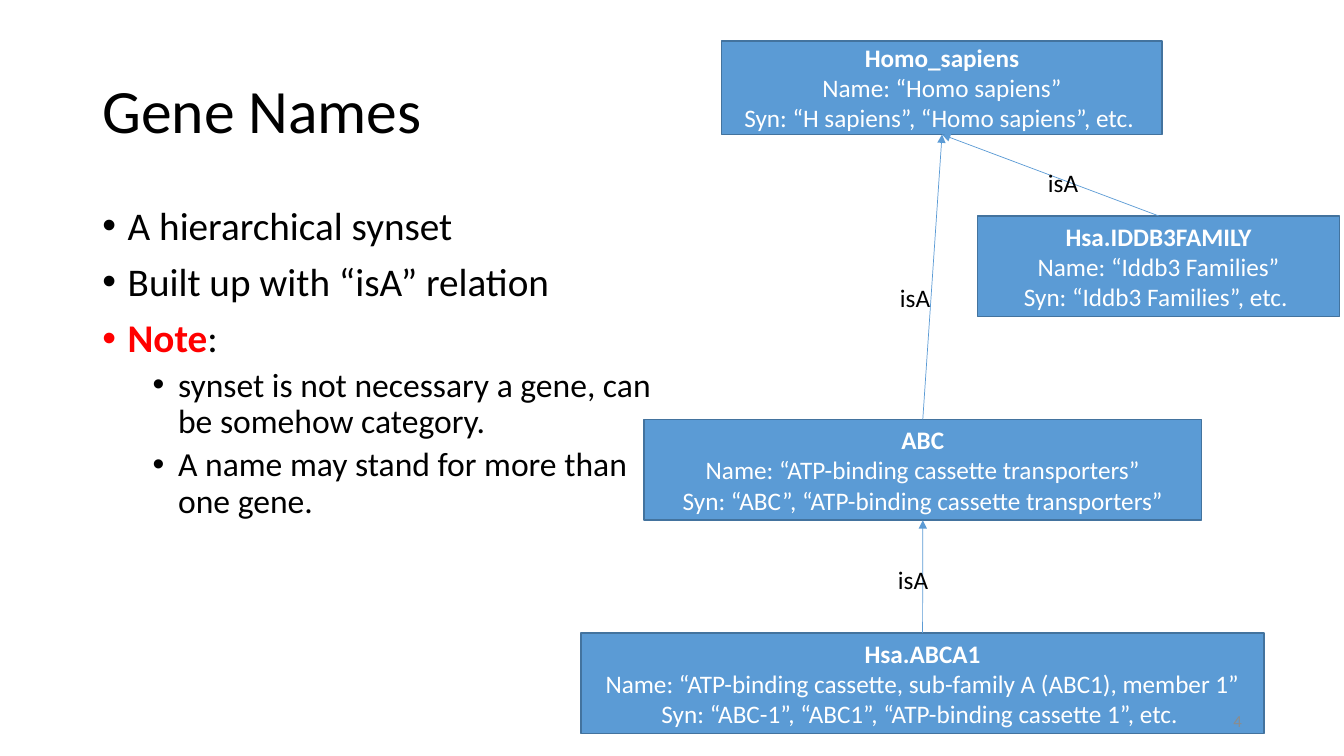
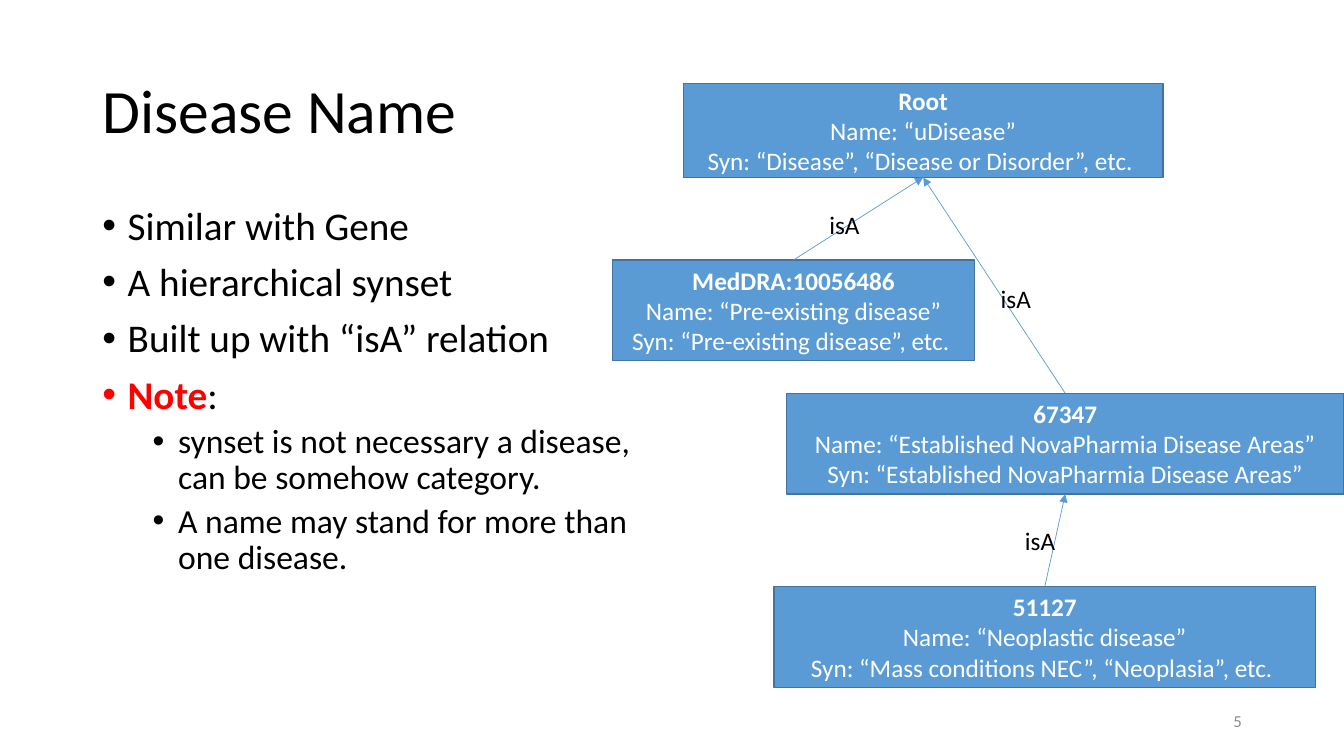
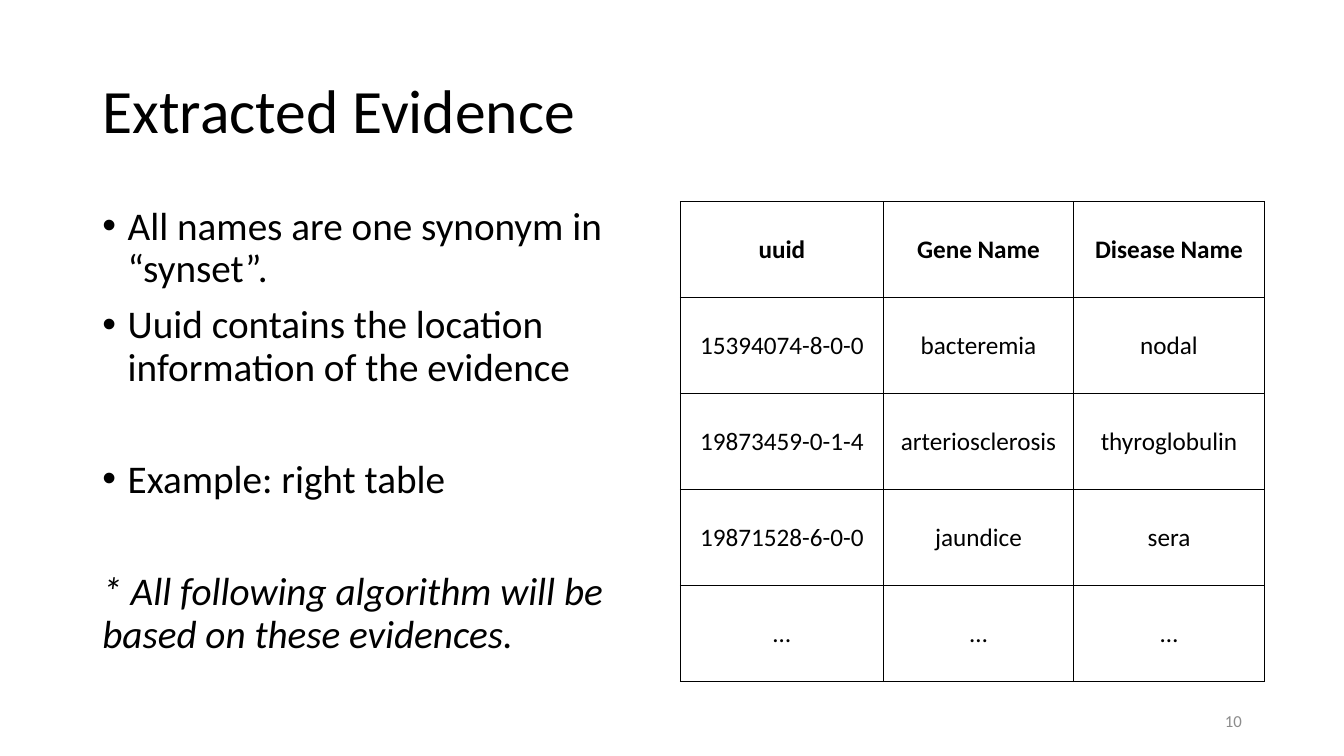
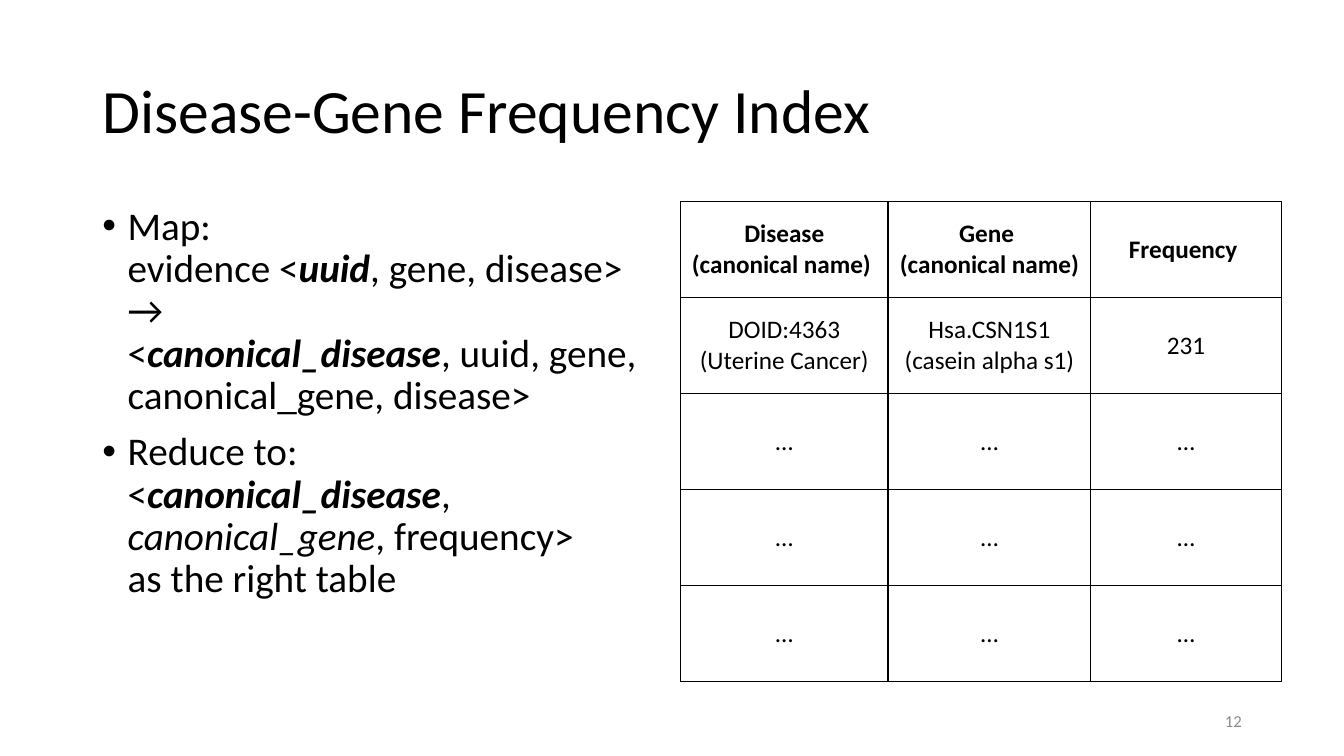
from lxml import etree
from pptx import Presentation
from pptx import util as u
from pptx.dml.color import RGBColor
from pptx.enum import shapes, text
from pptx.oxml.ns import qn

BLACK = RGBColor(0x00, 0x00, 0x00)
WHITE = RGBColor(0xFF, 0xFF, 0xFF)
RED = RGBColor(0xFF, 0x00, 0x00)
GREY = RGBColor(0x8C, 0x8C, 0x8C)
BLUE = RGBColor(0x5B, 0x9B, 0xD5)
DARK_BLUE = RGBColor(0x43, 0x73, 0x9E)
FONT = "Calibri"

TITLE_AREA = (2.33, 1.01, 29.21, 3.68)
BODY_AREA = (2.33, 5.07, 14.4, 12.09)
NUMBER_AREA = (23.93, 17.65, 7.62, 1.01)
TABLE_LEFT, TABLE_TOP, ROW_HEIGHT = 17.15, 5.08, 2.42
LABEL_SIZE = (1.27, 1.02)
BULLET_INDENT = 0.64
LEVEL_LEFT = (0.64, 1.91)
LEVEL_SIZE = (28, 24)
LEVEL_SPACE = (10, 5)
EXTRA_SPACE = 50
ELLIPSES = ["…"] * 3

PAGES = [
    {
        "title": "Gene Names",
        "number": "4",
        "body": [
            {"spans": [("A hierarchical synset", "")]},
            {"spans": [("Built up with “isA” relation", "")]},
            {"spans": [("Note", "br"), (":", "")]},
            {"level": 1, "spans": [("synset is not necessary a gene, can be somehow category.", "")]},
            {"level": 1, "spans": [("A name may stand for more than one gene.", "")]},
        ],
        "synsets": {
            "Hsa.IDDB3FAMILY": ((24.64, 5.44, 9.12, 2.54),
                                "Name: “Iddb3 Families”\nSyn: “Iddb3 Families”, etc. "),
            "Homo_sapiens": ((18.19, 1.03, 11.1, 2.36),
                             "Name: “Homo sapiens”\nSyn: “H sapiens”, “Homo sapiens”, etc. "),
            "ABC": ((16.23, 10.57, 14.05, 2.54),
                    "Name: “ATP-binding cassette transporters”\n"
                    "Syn: “ABC”, “ATP-binding cassette transporters”"),
            "Hsa.ABCA1": ((14.64, 15.95, 17.22, 2.54),
                          "Name: “ATP-binding cassette, sub-family A (ABC1), member 1”\n"
                          "Syn: “ABC-1”, “ABC1”, “ATP-binding cassette 1”, etc. "),
        },
        "relations": [
            ("ABC", "Homo_sapiens", (22.43, 6.99)),
            ("Hsa.ABCA1", "ABC", (22.38, 14.1)),
            ("Hsa.IDDB3FAMILY", "Homo_sapiens", (26.16, 4.09)),
        ],
    },
    {
        "title": "Disease Name",
        "number": "5",
        "body": [
            {"spans": [("Similar with Gene", "")]},
            {"spans": [("A hierarchical synset", "")]},
            {"spans": [("Built up with “isA” relation", "")]},
            {"spans": [("Note", "br"), (":", "")]},
            {"level": 1, "spans": [("synset is not necessary a disease, can be somehow category.", "")]},
            {"level": 1, "spans": [("A name may stand for more than one disease.", "")]},
        ],
        "synsets": {
            "MedDRA:10056486": ((15.44, 6.55, 9.12, 2.54),
                                "Name: “Pre-existing disease”\nSyn: “Pre-existing disease”, etc. "),
            "Root": ((17.22, 2.11, 12.09, 2.36),
                     "Name: “uDisease”\nSyn: “Disease”, “Disease or Disorder”, etc. "),
            "67347": ((19.82, 9.91, 14.05, 2.54),
                      "Name: “Established NovaPharmia Disease Areas”\n"
                      "Syn: “Established NovaPharmia Disease Areas”"),
            "51127": ((19.51, 14.78, 13.64, 2.54),
                      "Name: “Neoplastic disease”\nSyn: “Mass conditions NEC”, “Neoplasia”, etc. "),
        },
        "relations": [
            ("67347", "Root", (24.97, 7.01)),
            ("51127", "67347", (25.58, 13.11)),
            ("MedDRA:10056486", "Root", (20.65, 5.16)),
        ],
    },
    {
        "title": "Extracted Evidence",
        "number": "10",
        "body": [
            {"spans": [("All names are one synonym in “synset”.", "")]},
            {"spans": [("Uuid contains the location information of the evidence", "")]},
            {"space": EXTRA_SPACE, "spans": [("Example: right table", "")]},
            {"space": EXTRA_SPACE, "bullet": False,
             "spans": [("* All following algorithm will be based on these evidences.", "i")]},
        ],
        "columns": (5.11, 4.8, 4.8),
        "rows": [
            ["uuid", "Gene Name", "Disease Name"],
            ["15394074-8-0-0", "bacteremia", "nodal"],
            ["19873459-0-1-4", "arteriosclerosis", "thyroglobulin"],
            ["19871528-6-0-0", "jaundice", "sera"],
            ELLIPSES,
        ],
    },
    {
        "title": "Disease-Gene Frequency Index",
        "number": "12",
        "body": [
            {"spans": [("Map:\nevidence <", ""), ("uuid", "bi"), (", gene, disease> \n→ \n<", ""),
                       ("canonical_disease", "bi"), (", uuid, gene, canonical_gene, disease>", "")]},
            {"spans": [("Reduce to: \n<", ""), ("canonical_disease", "bi"), (", ", ""),
                       ("canonical_gene", "i"), (", frequency> \nas the right table", "")]},
        ],
        "columns": (5.23, 5.11, 4.8),
        "rows": [
            ["Disease\n(canonical name) ", "Gene \n(canonical name)", "Frequency "],
            ["DOID:4363\n(Uterine Cancer)", "Hsa.CSN1S1\n(casein alpha s1)", "231"],
            ELLIPSES,
            ELLIPSES,
            ELLIPSES,
        ],
    },
]


def style_frame(frame, size, color, align=text.PP_ALIGN.LEFT, bold_first=False):
    for index, para in enumerate(frame.paragraphs):
        para.alignment = align
        for span in para.runs:
            span.font.name = FONT
            span.font.size = u.Pt(size)
            span.font.color.rgb = color
            span.font.bold = bold_first and index == 0


def add_text(page, area, words, size, color=BLACK, anchor=text.MSO_ANCHOR.MIDDLE,
             align=text.PP_ALIGN.LEFT, wrap=True):
    box = page.shapes.add_textbox(*map(u.Cm, area))
    frame = box.text_frame
    frame.word_wrap = wrap
    frame.vertical_anchor = anchor
    frame.text = words
    style_frame(frame, size, color, align)
    return frame


deck = Presentation()
deck.slide_width, deck.slide_height = u.Cm(33.87), u.Cm(19.05)

for content in PAGES:
    page = deck.slides.add_slide(deck.slide_layouts[6])
    title = add_text(page, TITLE_AREA, content["title"], 44)
    title.paragraphs[0].line_spacing = 0.9

    body = add_text(page, BODY_AREA, "", 28, anchor=text.MSO_ANCHOR.TOP)
    for index, item in enumerate(content["body"]):
        para = body.add_paragraph() if index else body.paragraphs[0]
        level = item.get("level", 0)
        if item.get("bullet", True):
            properties = para._p.get_or_add_pPr()
            properties.set("marL", str(u.Cm(LEVEL_LEFT[level])))
            properties.set("indent", str(-u.Cm(BULLET_INDENT)))
            etree.SubElement(properties, qn("a:buFont")).set("typeface", "Arial")
            etree.SubElement(properties, qn("a:buChar")).set("char", "•")
        para.level = level
        para.line_spacing = 0.9
        if index:
            para.space_before = u.Pt(item.get("space", LEVEL_SPACE[level]))
        for words, style in item["spans"]:
            for line_index, line in enumerate(words.split("\n")):
                if line_index:
                    para.add_line_break()
                span = para.add_run()
                span.text = line
                span.font.name = FONT
                span.font.size = u.Pt(LEVEL_SIZE[level])
                span.font.bold = "b" in style
                span.font.italic = "i" in style
                span.font.color.rgb = RED if "r" in style else BLACK

    boxes = {}
    for name, (area, details) in content.get("synsets", {}).items():
        box = page.shapes.add_shape(shapes.MSO_SHAPE.RECTANGLE, *map(u.Cm, area))
        box.shadow.inherit = False
        box.fill.solid()
        box.fill.fore_color.rgb = BLUE
        box.line.color.rgb = DARK_BLUE
        box.line.width = u.Pt(1)
        box.text_frame.word_wrap = True
        box.text_frame.vertical_anchor = text.MSO_ANCHOR.MIDDLE
        box.text_frame.text = f"{name}\n{details}"
        style_frame(box.text_frame, 18, WHITE, text.PP_ALIGN.CENTER, bold_first=True)
        boxes[name] = box

    for child, parent, label_place in content.get("relations", []):
        arrow = page.shapes.add_connector(shapes.MSO_CONNECTOR.STRAIGHT, 0, 0, 0, 0)
        arrow.begin_connect(boxes[child], 0)
        arrow.end_connect(boxes[parent], 2)
        arrow.line.color.rgb = BLUE
        arrow.line.width = u.Pt(0.5)
        etree.SubElement(arrow.line._get_or_add_ln(), qn("a:tailEnd")).set("type", "triangle")
        etree.SubElement(arrow._element.spPr, qn("a:effectLst"))
        add_text(page, label_place + LABEL_SIZE, "isA", 18,
                 anchor=text.MSO_ANCHOR.TOP, wrap=False)

    if "rows" in content:
        rows, columns = content["rows"], content["columns"]
        table = page.shapes.add_table(
            len(rows), len(columns), u.Cm(TABLE_LEFT), u.Cm(TABLE_TOP),
            u.Cm(sum(columns)), u.Cm(ROW_HEIGHT * len(rows))).table
        table.first_row = table.horz_banding = False
        for column, width in zip(table.columns, columns):
            column.width = u.Cm(width)
        for row_index, row in enumerate(rows):
            table.rows[row_index].height = u.Cm(ROW_HEIGHT)
            for column_index, words in enumerate(row):
                cell = table.cell(row_index, column_index)
                cell.text = words
                cell.vertical_anchor = text.MSO_ANCHOR.MIDDLE
                style_frame(cell.text_frame, 18, BLACK, text.PP_ALIGN.CENTER)
                if row_index == 0:
                    for para in cell.text_frame.paragraphs:
                        for span in para.runs:
                            span.font.bold = True
                properties = cell._tc.get_or_add_tcPr()
                for side in ("lnL", "lnR", "lnT", "lnB"):
                    border = etree.SubElement(properties, qn(f"a:{side}"), w=str(u.Pt(1)))
                    fill = etree.SubElement(border, qn("a:solidFill"))
                    etree.SubElement(fill, qn("a:srgbClr")).set("val", str(BLACK))
                cell.fill.background()

    add_text(page, NUMBER_AREA, content["number"], 12, GREY, align=text.PP_ALIGN.RIGHT)

deck.save("out.pptx")
